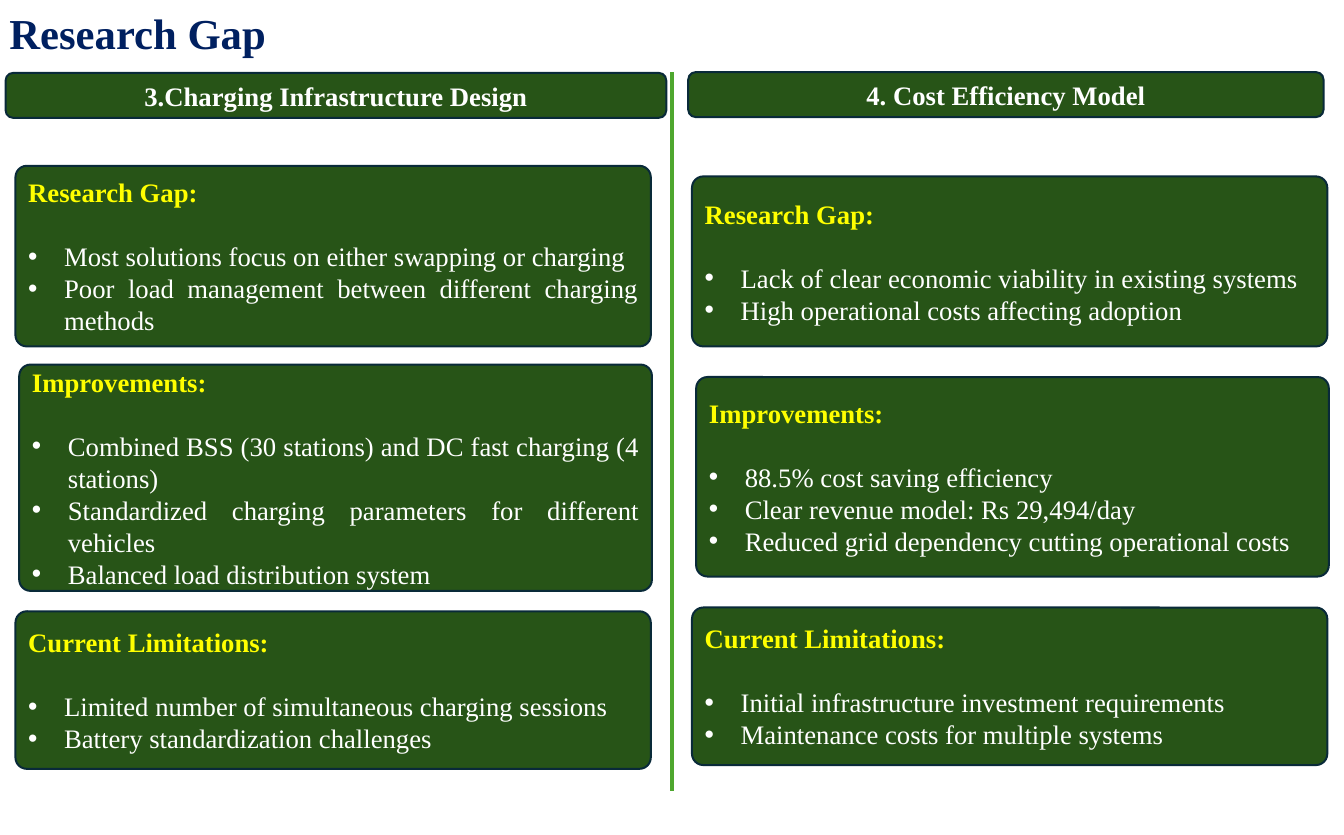
from lxml.etree import SubElement
from pptx import Presentation
from pptx.dml.color import RGBColor
from pptx.enum.shapes import MSO_CONNECTOR as Connector, MSO_SHAPE as Shape
from pptx.enum.text import MSO_ANCHOR as Anchor, PP_ALIGN as Align
from pptx.oxml.ns import qn
from pptx.util import Cm, Pt

GREEN = RGBColor(0x27, 0x54, 0x17)
OUTLINE = RGBColor(0x09, 0x2A, 0x39)
DIVIDER = RGBColor(0x4E, 0xA7, 0x2E)
NAVY = RGBColor(0x00, 0x20, 0x60)
YELLOW = RGBColor(0xFF, 0xFF, 0x00)
WHITE = RGBColor(0xFF, 0xFF, 0xFF)

FONT = "Times New Roman"
CORNER = 0.3
TITLE = {"name": FONT, "size": Pt(32), "bold": True}
HEADING = {"name": FONT, "size": Pt(20), "bold": True}
BODY = {"name": FONT, "size": Pt(20), "bold": False}

HEADERS = [
    ("3.Charging Infrastructure Design", (0.15, 1.93, 17.48, 1.19)),
    ("4. Cost Efficiency Model", (18.21, 1.91, 16.81, 1.19)),
]
CARDS = [
    ("Research Gap:", (0.41, 4.39, 16.81, 4.78), [
        "Most solutions focus on either swapping or charging",
        "Poor load management between different charging methods",
    ]),
    ("Improvements:", (0.51, 9.65, 16.74, 5.99), [
        "Combined BSS (30 stations) and DC fast charging (4 stations)",
        "Standardized charging parameters for different vehicles",
        "Balanced load distribution system",
    ]),
    ("Current Limitations:", (0.41, 16.18, 16.81, 4.17), [
        "Limited number of simultaneous charging sessions",
        "Battery standardization challenges",
    ]),
    ("Research Gap:", (18.31, 4.67, 16.81, 4.5), [
        "Lack of clear economic viability in existing systems",
        "High operational costs affecting adoption",
    ]),
    ("Improvements:", (18.42, 9.98, 16.74, 5.28), [
        "88.5% cost saving efficiency",
        "Clear revenue model: Rs 29,494/day",
        "Reduced grid dependency cutting operational costs",
    ]),
    ("Current Limitations:", (18.31, 16.08, 16.81, 4.17), [
        "Initial infrastructure investment requirements",
        "Maintenance costs for multiple systems",
    ]),
]


def write(para, text, style, color, align):
    para.alignment = align
    span = para.add_run()
    span.text = text
    for name, value in style.items():
        setattr(span.font, name, value)
    span.font.color.rgb = color


def add_bullet(para):
    properties = para._p.get_or_add_pPr()
    properties.set("marL", str(Cm(0.95)))
    properties.set("indent", str(Cm(-0.95)))
    SubElement(properties, qn("a:buFont"), typeface="Arial")
    SubElement(properties, qn("a:buChar"), char="•")


def add_panel(page, bounds):
    panel = page.shapes.add_shape(Shape.ROUNDED_RECTANGLE, *map(Cm, bounds))
    panel.shadow.inherit = False
    panel.fill.solid()
    panel.fill.fore_color.rgb = GREEN
    panel.line.color.rgb = OUTLINE
    panel.line.width = Pt(1.5)
    panel.text_frame.word_wrap = True
    panel.text_frame.vertical_anchor = Anchor.MIDDLE
    return panel


def add_header(page, text, bounds):
    panel = add_panel(page, bounds)
    write(panel.text_frame.paragraphs[0], text, HEADING, WHITE, Align.CENTER)


def add_card(page, heading, bounds, points):
    panel = add_panel(page, bounds)
    panel.adjustments[0] = CORNER / bounds[3]
    frame = panel.text_frame
    write(frame.paragraphs[0], heading, HEADING, YELLOW, Align.LEFT)
    frame.paragraphs[0].space_after = Pt(24)
    for point in points:
        para = frame.add_paragraph()
        add_bullet(para)
        write(para, point, BODY, WHITE, Align.JUSTIFY)


def add_title(page, text):
    box = page.shapes.add_textbox(Cm(0), Cm(0), Cm(18.24), Cm(1.91))
    frame = box.text_frame
    frame.word_wrap = True
    frame.vertical_anchor = Anchor.MIDDLE
    frame.paragraphs[0].line_spacing = 0.9
    write(frame.paragraphs[0], text, TITLE, NAVY, Align.LEFT)


def add_divider(page):
    divider = page.shapes.add_connector(
        Connector.STRAIGHT, Cm(17.78), Cm(1.91), Cm(17.78), Cm(20.93))
    divider.line.color.rgb = DIVIDER
    divider.line.width = Pt(3)
    SubElement(divider._element.spPr, qn("a:effectLst"))


def main():
    deck = Presentation()
    deck.slide_width, deck.slide_height = Cm(35.56), Cm(22.1)
    page = deck.slides.add_slide(deck.slide_layouts[6])
    add_title(page, "Research Gap")
    add_divider(page)
    for header in HEADERS:
        add_header(page, *header)
    for card in CARDS:
        add_card(page, *card)
    deck.save("out.pptx")


if __name__ == "__main__":
    main()
